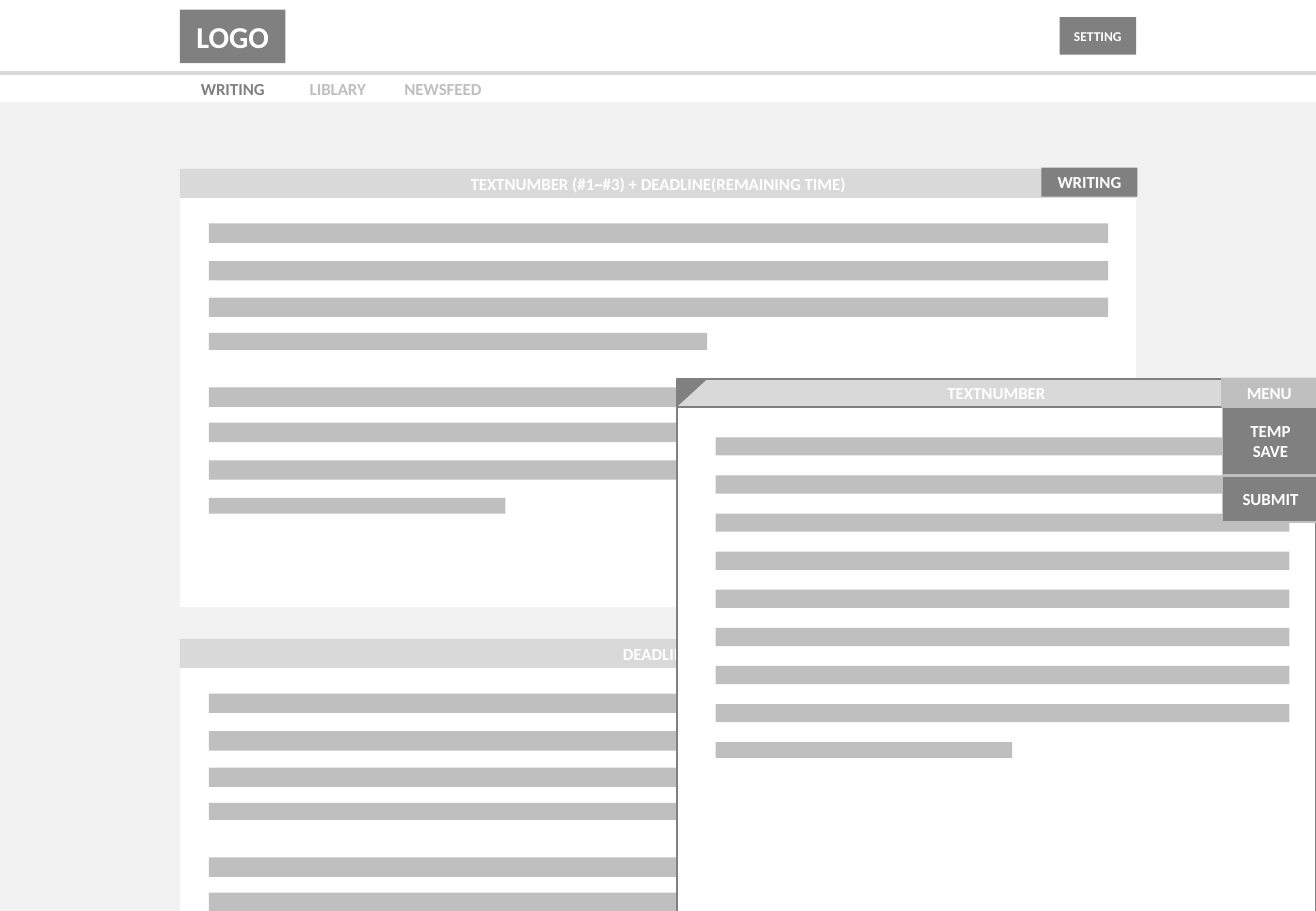
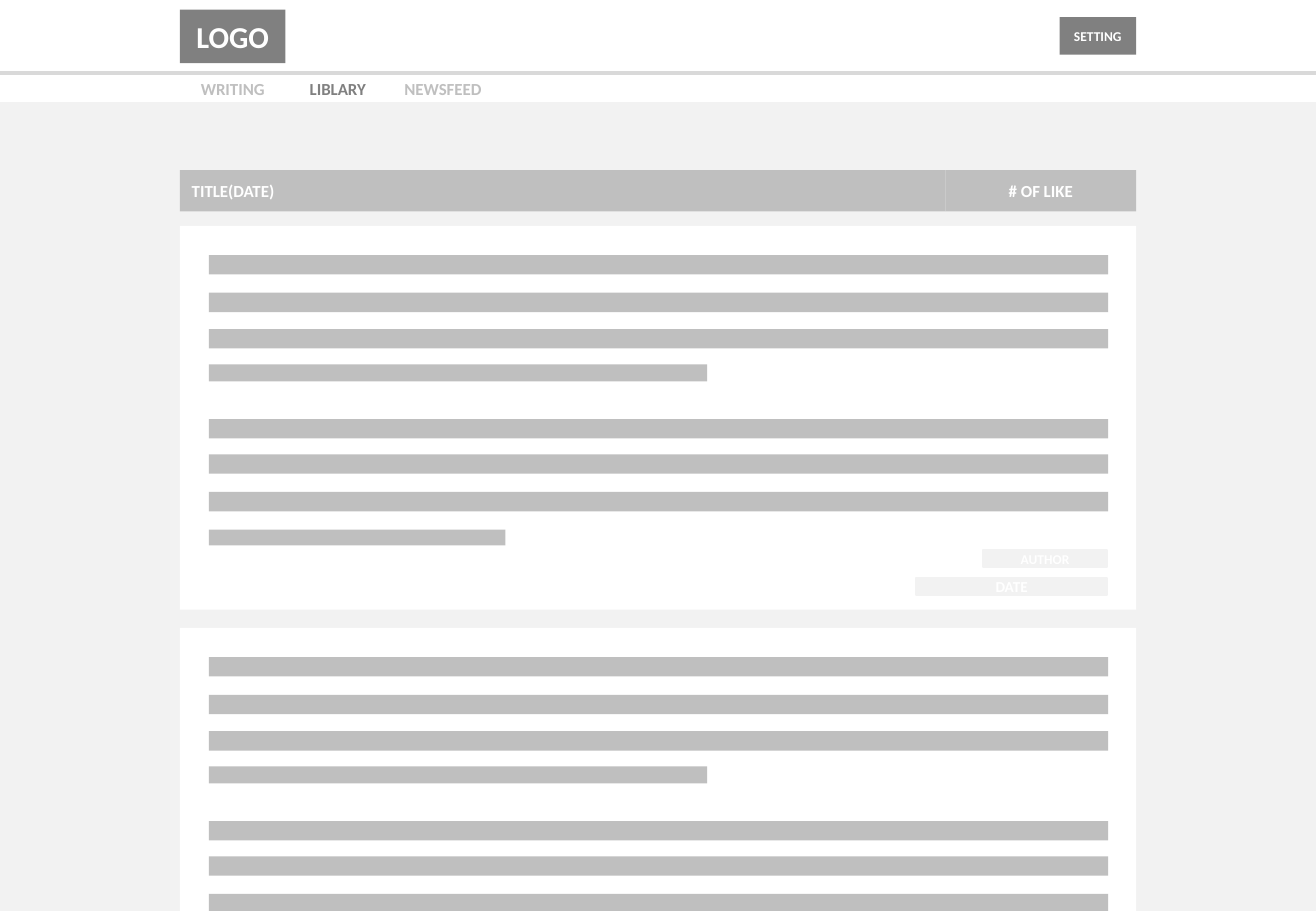
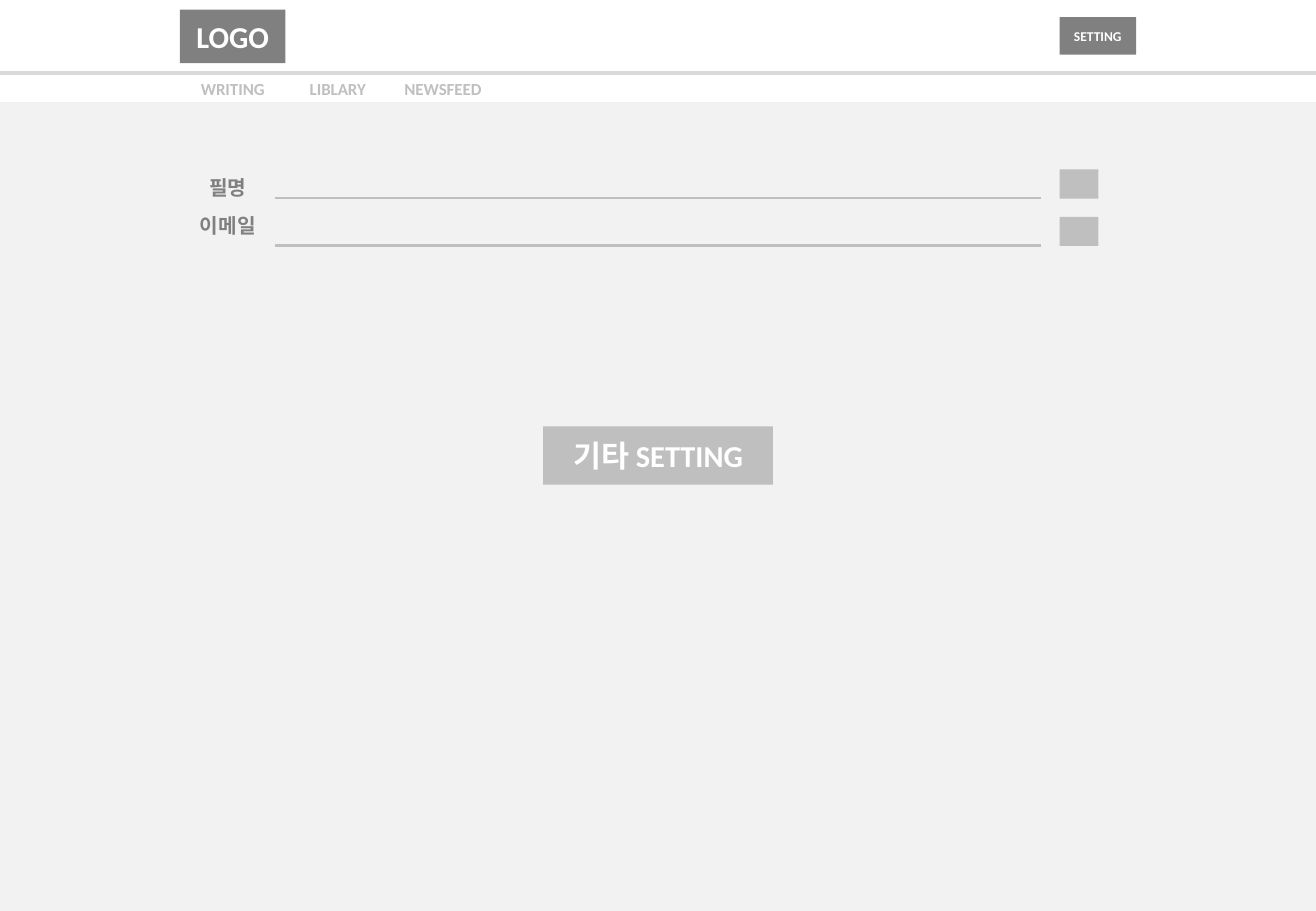
"""Build three wireframe screens of a writing site: writing, library and settings."""
import dataclasses

import pptx
import pptx.dml.color
import pptx.enum.shapes
import pptx.enum.text
import pptx.oxml.ns
import pptx.util

Inches = pptx.util.Inches
Pt = pptx.util.Pt
SHAPE = pptx.enum.shapes.MSO_SHAPE
ALIGN = pptx.enum.text.PP_ALIGN


@dataclasses.dataclass(frozen=True)
class Theme:
    font: str = "Calibri"
    white: str = "FFFFFF"
    page: str = "F2F2F2"
    pale: str = "D9D9D9"
    mid: str = "BFBFBF"
    dark: str = "808080"
    tiny: int = 8
    small: int = 9
    body: int = 10
    label: int = 12
    heading: int = 18


THEME = Theme()
WIDTH, HEIGHT = 10.83, 7.5
LEFT, CONTENT_WIDTH = 1.48, 7.87
PAGE_TOP = 0.84

TABS = ["WRITING", "LIBLARY", "NEWSFEED"]
TAB_WIDTH = 0.865

BAR_INDENT, BAR_WIDTH, BAR_HEIGHT = 0.24, 7.4, 0.16
CARD_BARS = [
    (0, BAR_WIDTH, BAR_HEIGHT),
    (0.31, BAR_WIDTH, BAR_HEIGHT),
    (0.61, BAR_WIDTH, BAR_HEIGHT),
    (0.9, 4.1, 0.14),
    (1.35, BAR_WIDTH, BAR_HEIGHT),
    (1.64, BAR_WIDTH, BAR_HEIGHT),
    (1.95, BAR_WIDTH, BAR_HEIGHT),
    (2.26, 2.44, 0.13),
]

WRITING_CARDS = [
    ("TEXTNUMBER (#1~#3) + DEADLINE(REMAINING TIME)", 1.39, 8),
    ("DEADLINE", 5.26, 6),
]
TITLE_HEIGHT, WRITING_CARD_HEIGHT = 0.24, 3.37

EDITOR_LEFT, EDITOR_TOP, EDITOR_WIDTH = 5.57, 3.12, 5.26
EDITOR_BAR_LEFT, EDITOR_BAR_TOP, EDITOR_BAR_WIDTH = 5.89, 3.6, 4.72
EDITOR_LAST_TOP, EDITOR_FULL_BARS = 6.11, 8
MENU_ITEMS = [("TEMP\nSAVE", 3.35, 0.56), ("SUBMIT", 3.92, 0.38)]

LIBRARY_CARDS = [(1.86, 8), (5.17, 7)]
LIBRARY_CARD_HEIGHT = 3.16
CREDITS = [("AUTHOR", 4.53, 1.02, THEME.tiny), ("DATE", 4.76, 1.57, THEME.small)]
CREDIT_RIGHT = 9.11

FIELDS = [("필명", 1.39, 1.63), ("이메일", 1.7, 2.02)]


def rgb(color):
    return pptx.dml.color.RGBColor.from_string(color)


def write(shape, text, size, color, align=ALIGN.CENTER):
    frame = shape.text_frame
    frame.word_wrap = True
    frame.vertical_anchor = pptx.enum.text.MSO_ANCHOR.MIDDLE
    frame.text = text
    for paragraph in frame.paragraphs:
        paragraph.alignment = align
        paragraph.font.name = THEME.font
        paragraph.font.size = Pt(size)
        paragraph.font.bold = True
        paragraph.font.color.rgb = rgb(color)


def block(slide, left, top, width, height, fill, text="", size=THEME.body,
          outline=None, align=ALIGN.CENTER, kind=SHAPE.RECTANGLE):
    shape = slide.shapes.add_shape(
        kind, Inches(left), Inches(top), Inches(width), Inches(height))
    shape.shadow.inherit = False
    shape.fill.solid()
    shape.fill.fore_color.rgb = rgb(fill)
    if outline:
        shape.line.color.rgb = rgb(outline)
        shape.line.width = Pt(1)
    else:
        shape.line.fill.background()
    if text:
        write(shape, text, size, THEME.white, align)
    return shape


def label(slide, left, top, width, height, text, size, color):
    box = slide.shapes.add_textbox(
        Inches(left), Inches(top), Inches(width), Inches(height))
    write(box, text, size, color)


def rule(slide, left, right, y, color, weight):
    line = slide.shapes.add_connector(
        pptx.enum.shapes.MSO_CONNECTOR.STRAIGHT,
        Inches(left), Inches(y), Inches(right), Inches(y))
    line.line.color.rgb = rgb(color)
    line.line.width = Pt(weight)
    properties = line.element.spPr
    properties.append(properties.makeelement(pptx.oxml.ns.qn("a:effectLst"), {}))


def screen(deck, active_tab=None):
    slide = deck.slides.add_slide(deck.slide_layouts[6])
    block(slide, 0, PAGE_TOP, WIDTH, HEIGHT - PAGE_TOP, THEME.page)
    rule(slide, 0, WIDTH, 0.6, THEME.pale, 2)
    block(slide, LEFT, 0.08, 0.87, 0.44, THEME.dark, "LOGO", THEME.heading)
    for index, tab in enumerate(TABS):
        color = THEME.dark if tab == active_tab else THEME.mid
        label(slide, LEFT + index * TAB_WIDTH, 0.62, 0.87, 0.22, tab, THEME.body, color)
    block(slide, 8.72, 0.14, 0.63, 0.31, THEME.dark, "SETTING", THEME.tiny)
    return slide


def card(slide, top, height, first_bar, bar_count):
    block(slide, LEFT, top, CONTENT_WIDTH, height, THEME.white)
    for offset, width, thickness in CARD_BARS[:bar_count]:
        block(slide, LEFT + BAR_INDENT, first_bar + offset, width, thickness, THEME.mid)


def editor(slide):
    body_top = EDITOR_TOP + 0.23
    block(slide, EDITOR_LEFT, body_top, EDITOR_WIDTH, 4.17, THEME.white,
          outline=THEME.dark)
    block(slide, EDITOR_LEFT, EDITOR_TOP, EDITOR_WIDTH, 0.23, THEME.pale,
          "TEXTNUMBER", outline=THEME.dark)
    corner = block(slide, EDITOR_LEFT, 3.13, 0.24, 0.22, THEME.dark,
                   kind=SHAPE.RIGHT_TRIANGLE)
    corner.element.spPr.xfrm.set("flipV", "1")
    block(slide, 10.05, 3.11, 0.79, 0.24, THEME.mid, "MENU")
    pitch = (EDITOR_LAST_TOP - EDITOR_BAR_TOP) / EDITOR_FULL_BARS
    for index in range(EDITOR_FULL_BARS):
        block(slide, EDITOR_BAR_LEFT, EDITOR_BAR_TOP + index * pitch,
              EDITOR_BAR_WIDTH, 0.15, THEME.mid)
    block(slide, EDITOR_BAR_LEFT, EDITOR_LAST_TOP, 2.44, 0.13, THEME.mid)
    for text, top, height in MENU_ITEMS:
        block(slide, 10.06, top, 0.79, height, THEME.dark, text, outline=THEME.mid)


def writing_screen(deck):
    slide = screen(deck, "WRITING")
    for title, top, bar_count in WRITING_CARDS:
        card(slide, top + TITLE_HEIGHT, WRITING_CARD_HEIGHT, top + 0.45, bar_count)
        block(slide, LEFT, top, CONTENT_WIDTH, TITLE_HEIGHT, THEME.pale, title)
    block(slide, 8.57, 1.38, 0.79, TITLE_HEIGHT, THEME.dark, "WRITING")
    editor(slide)


def library_screen(deck):
    slide = screen(deck, "LIBLARY")
    for top, bar_count in LIBRARY_CARDS:
        card(slide, top, LIBRARY_CARD_HEIGHT, top + 0.24, bar_count)
    for text, top, width, size in CREDITS:
        block(slide, CREDIT_RIGHT - width, top, width, 0.14, THEME.page, text, size,
              outline=THEME.page)
    block(slide, LEFT, 1.4, 6.3, 0.34, THEME.mid, "TITLE(DATE)", align=ALIGN.LEFT)
    block(slide, LEFT + 6.3, 1.4, 1.57, 0.34, THEME.mid, "# OF LIKE")


def settings_screen(deck):
    slide = screen(deck)
    for name, top, line_y in FIELDS:
        label(slide, LEFT, top, 0.79, 0.31, name, THEME.label, THEME.dark)
        rule(slide, 2.26, 8.57, line_y, THEME.mid, 1.5)
        block(slide, 8.72, line_y - 0.235, 0.32, 0.24, THEME.mid)
    block(slide, 4.47, 3.51, 1.89, 0.48, THEME.mid, "기타 SETTING", THEME.heading)


deck = pptx.Presentation()
deck.slide_width = Inches(WIDTH)
deck.slide_height = Inches(HEIGHT)
writing_screen(deck)
library_screen(deck)
settings_screen(deck)
deck.save("out.pptx")
